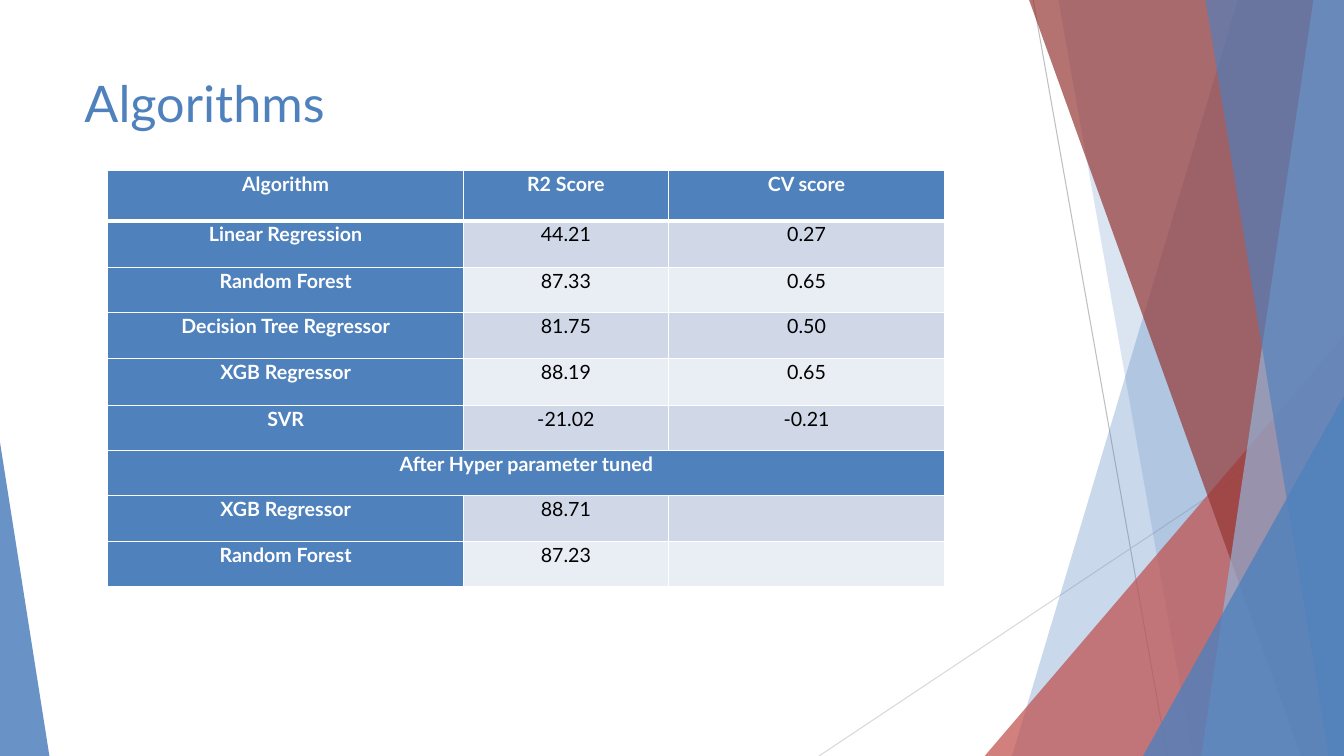
import pptx
import pptx.dml.color
import pptx.enum.shapes
import pptx.enum.text
import pptx.oxml
import pptx.oxml.ns
import pptx.util
from lxml import etree

Pt = pptx.util.Pt
FONT = "Lato"
BLUE, RED, DARK_RED, PALE_BLUE = "4F81BD", "C0504D", "953735", "95B3D7"
WHITE, BLACK = "FFFFFF", "000000"
BAND_FILLS = ("E9EDF4", "D0D8E8")

COLUMN_WIDTHS = (254.2, 146.2, 197.6)
ROW_HEIGHTS = (36, 33.5, 32.4, 32.4, 33.5, 32.4, 32.4, 32.4, 32.4)
SCORES = (
    ("Algorithm", "R2 Score", "CV score"),
    ("Linear Regression", "44.21", "0.27"),
    ("Random Forest", "87.33", "0.65"),
    ("Decision Tree Regressor", "81.75", "0.50"),
    ("XGB Regressor", "88.19", "0.65"),
    ("SVR", "-21.02", "-0.21"),
    ("After Hyper parameter tuned",),
    ("XGB Regressor", "88.71", ""),
    ("Random Forest", "87.23", ""),
)


def color(hex_string):
    return pptx.dml.color.RGBColor.from_string(hex_string)


def add_run(paragraph, text, size, hex_string, bold=False):
    run = paragraph.add_run()
    run.text = text
    run.font.name = FONT
    run.font.size = Pt(size)
    run.font.bold = bold
    run.font.color.rgb = color(hex_string)


def paint(shape, hex_string, opacity):
    """Give the shape a translucent fill (opacity in percent) and no outline."""
    shape.shadow.inherit = False
    shape.line.fill.background()
    shape.fill.solid()
    shape.fill.fore_color.rgb = color(hex_string)
    color_element = shape.fill._xPr.find(".//" + pptx.oxml.ns.qn("a:srgbClr"))
    alpha = etree.SubElement(color_element, pptx.oxml.ns.qn("a:alpha"))
    alpha.set("val", str(opacity * 1000))


def add_thin_line(slide, start, end, hex_string):
    connector = slide.shapes.add_connector(
        pptx.enum.shapes.MSO_CONNECTOR.STRAIGHT,
        Pt(start[0]), Pt(start[1]), Pt(end[0]), Pt(end[1]))
    connector.line.color.rgb = color(hex_string)
    connector.line.width = Pt(0.75)
    etree.SubElement(connector._element.spPr, pptx.oxml.ns.qn("a:effectLst"))


def add_band(slide, box, top_x, bottom_x, hex_string, opacity):
    """Fill the box to the right of a slanted edge."""
    left, top, width, height = box
    right, bottom = left + width, top + height
    builder = slide.shapes.build_freeform(Pt(left + top_x), Pt(top))
    builder.add_line_segments([
        (Pt(right), Pt(top)),
        (Pt(right), Pt(bottom)),
        (Pt(left + bottom_x), Pt(bottom)),
    ], close=True)
    paint(builder.convert_to_shape(), hex_string, opacity)


def add_corner(slide, box, apex, hex_string, opacity):
    """Add a right triangle with its apex at the left (0) or right (1) edge."""
    triangle = slide.shapes.add_shape(
        pptx.enum.shapes.MSO_SHAPE.ISOSCELES_TRIANGLE, *map(Pt, box))
    triangle.adjustments[0] = apex
    paint(triangle, hex_string, opacity)


def add_facets(slide, box):
    left, top, width, height = box
    add_thin_line(slide, (left + 153, top), (left + 248.8, top + height), "BFBFBF")
    add_thin_line(slide, (left + width, top + 290.2), (left, top + height), "D9D9D9")

    def add_right_corner(x, y, hex_string, opacity):
        corner_box = (left + x, top + y, width - x, height - y)
        add_corner(slide, corner_box, 1, hex_string, opacity)

    add_band(slide, box, 299.2, 137.9, BLUE, 30)
    add_band(slide, box, 171, 266.8, BLUE, 20)
    add_right_corner(118.4, 239.8, RED, 72)
    add_band(slide, box, 150.1, 344.5, DARK_RED, 70)
    add_band(slide, box, 353.2, 273.2, PALE_BLUE, 70)
    add_band(slide, box, 276.1, 364, BLUE, 65)
    add_right_corner(231.5, 283, BLUE, 80)


def add_title(slide, box, text):
    frame = slide.shapes.add_textbox(*map(Pt, box)).text_frame
    frame.word_wrap = True
    frame.vertical_anchor = pptx.enum.text.MSO_ANCHOR.TOP
    add_run(frame.paragraphs[0], text, 36, BLUE)


def set_borders(cell, top_width, bottom_width):
    properties = cell._tc.get_or_add_tcPr()
    widths = {"lnL": 1, "lnR": 1, "lnT": top_width, "lnB": bottom_width}
    for index, (tag, width) in enumerate(widths.items()):
        border = pptx.oxml.parse_xml(
            f'<a:{tag} {pptx.oxml.ns.nsdecls("a")} w="{Pt(width)}">'
            f'<a:solidFill><a:srgbClr val="{WHITE}"/></a:solidFill></a:{tag}>')
        properties.insert(index, border)


def fill_cell(cell, text, fill, bold):
    cell.fill.solid()
    cell.fill.fore_color.rgb = color(fill)
    if not text:
        return
    cell.margin_left = cell.margin_right = Pt(5)
    cell.margin_top = cell.margin_bottom = 0
    paragraph = cell.text_frame.paragraphs[0]
    paragraph.alignment = pptx.enum.text.PP_ALIGN.CENTER
    paragraph.line_spacing = 1.07
    paragraph.space_after = Pt(8)
    add_run(paragraph, text, 14, WHITE if bold else BLACK, bold)


def add_score_table(slide, left, top):
    table = slide.shapes.add_table(
        len(ROW_HEIGHTS), len(COLUMN_WIDTHS), Pt(left), Pt(top),
        Pt(sum(COLUMN_WIDTHS)), Pt(sum(ROW_HEIGHTS))).table
    table.first_row = table.horz_banding = False
    for column, width in zip(table.columns, COLUMN_WIDTHS):
        column.width = Pt(width)
    for row, height in zip(table.rows, ROW_HEIGHTS):
        row.height = Pt(height)
    last_column = len(COLUMN_WIDTHS) - 1
    for row_index, texts in enumerate(SCORES):
        if len(texts) == 1:
            table.cell(row_index, 0).merge(table.cell(row_index, last_column))
        for column_index, text in enumerate(texts):
            cell = table.cell(row_index, column_index)
            heading = row_index == 0 or column_index == 0
            fill = BLUE if heading else BAND_FILLS[row_index % 2]
            fill_cell(cell, text, fill, heading)
        for cell in table.rows[row_index].cells:
            set_borders(cell, 3 if row_index == 1 else 1, 3 if row_index == 0 else 1)


def main():
    presentation = pptx.Presentation()
    presentation.slide_width, presentation.slide_height = Pt(960), Pt(540)
    slide = presentation.slides.add_slide(presentation.slide_layouts[6])
    add_facets(slide, (585, 0, 375, 540))
    add_corner(slide, (0, 316, 35.3, 224), 0, BLUE, 85)
    add_title(slide, (53.3, 48.2, 676.8, 56.9), "Algorithms")
    add_score_table(slide, 77, 121.6)
    presentation.save("out.pptx")


if __name__ == "__main__":
    main()
